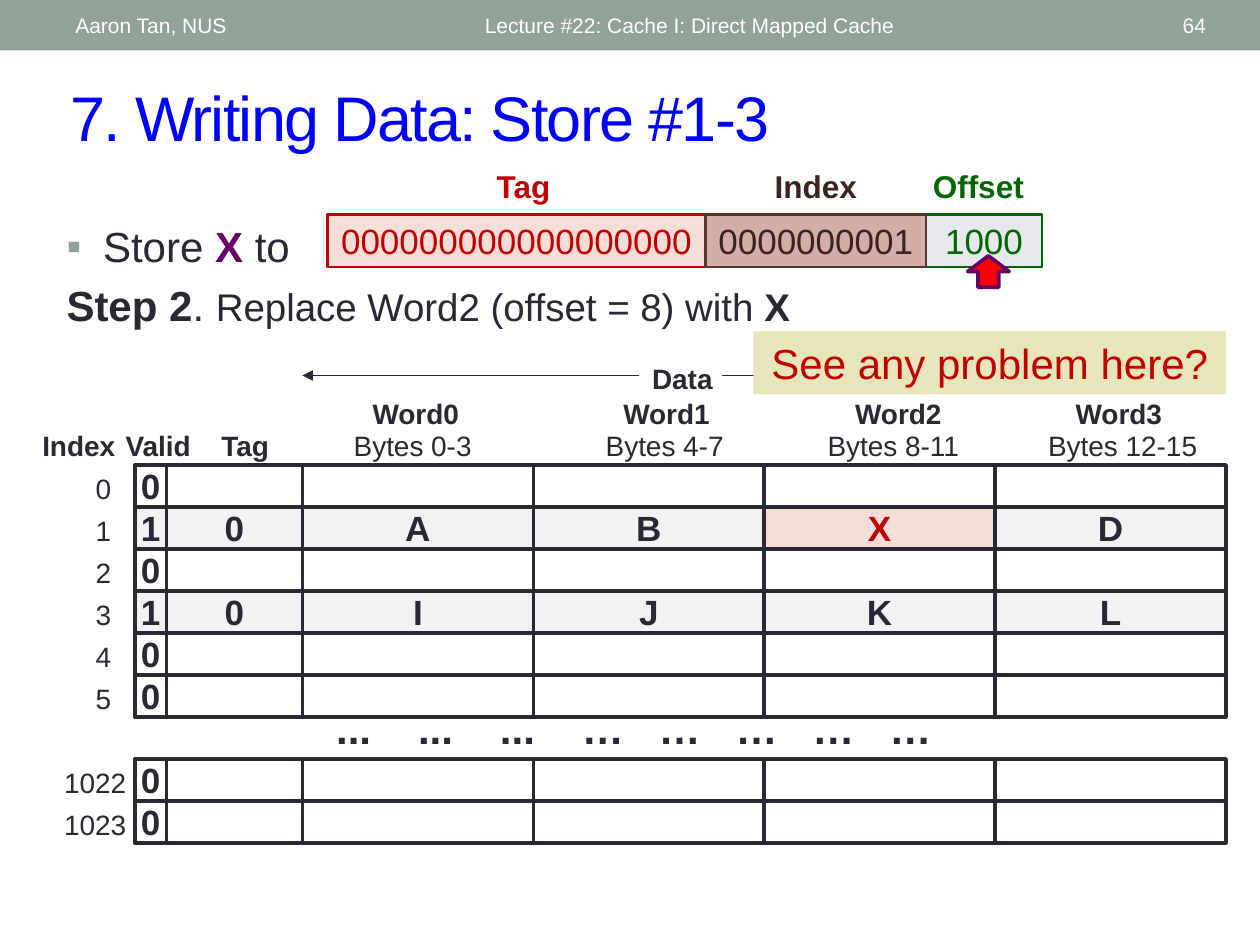
from lxml import etree
from pptx import Presentation
from pptx.dml.color import RGBColor
from pptx.enum.shapes import MSO_CONNECTOR, MSO_SHAPE
from pptx.enum.text import MSO_ANCHOR, PP_ALIGN
from pptx.oxml.ns import qn
from pptx.util import Inches, Pt

RECTANGLE, UP_ARROW = MSO_SHAPE.RECTANGLE, MSO_SHAPE.UP_ARROW
STRAIGHT = MSO_CONNECTOR.STRAIGHT
TOP, MIDDLE = MSO_ANCHOR.TOP, MSO_ANCHOR.MIDDLE
LEFT, CENTER, RIGHT = PP_ALIGN.LEFT, PP_ALIGN.CENTER, PP_ALIGN.RIGHT

INK = RGBColor(0x29, 0x29, 0x34)
WHITE = RGBColor(0xFF, 0xFF, 0xFF)
SAGE = RGBColor(0x93, 0xA2, 0x99)
BLUE = RGBColor(0x00, 0x00, 0xFF)
PURPLE = RGBColor(0x66, 0x00, 0x66)
CRIMSON = RGBColor(0xC0, 0x00, 0x00)
RED = RGBColor(0xFF, 0x00, 0x00)
PINK = RGBColor(0xF6, 0xDD, 0xD8)
GREEN = RGBColor(0x00, 0x66, 0x00)
PALE_BLUE = RGBColor(0xE6, 0xE8, 0xEC)
BROWN = RGBColor(0x5B, 0x35, 0x2E)
DARK_BROWN = RGBColor(0x3C, 0x23, 0x1F)
ROSE = RGBColor(0xD3, 0xAE, 0xA8)
LIGHT_GREY = RGBColor(0xF2, 0xF2, 0xF2)
KHAKI = RGBColor(0xE7, 0xE5, 0xBA)


def add_span(para, text, size=16, color=INK, bold=False, spacing=None):
    """Append formatted text to a paragraph."""
    span = para.add_run()
    span.text = text
    span.font.name, span.font.size = "Arial", Pt(size)
    span.font.bold = bold
    span.font.color.rgb = color
    if spacing is not None:
        span.font._element.set("spc", str(spacing))


def write(box, text, align=CENTER, anchor=TOP, wrap=False, **style):
    """Write one paragraph in a shape and return it."""
    frame = box.text_frame
    frame.word_wrap = wrap
    frame.vertical_anchor = anchor
    para = frame.paragraphs[0]
    para.alignment = align
    add_span(para, text, **style)
    return para


def add_label(page, box, text, **style):
    """Place a text box at left, top, width, height."""
    return write(page.shapes.add_textbox(*map(Inches, box)), text, **style)


def add_block(page, box, fill=None, line=None, weight=2, kind=RECTANGLE):
    """Place a flat shape with optional fill and outline."""
    block = page.shapes.add_shape(kind, *map(Inches, box))
    block.shadow.inherit = False
    if fill is None:
        block.fill.background()
    else:
        block.fill.solid()
        block.fill.fore_color.rgb = fill
    if line is None:
        block.line.fill.background()
    else:
        block.line.color.rgb = line
        block.line.width = Pt(weight)
    return block


def add_arrow(page, start, end, y):
    """Draw a thin horizontal arrow pointing at its end."""
    arrow = page.shapes.add_connector(STRAIGHT, Inches(start), Inches(y), Inches(end), Inches(y))
    arrow.line.color.rgb = INK
    arrow.line.width = Pt(0.75)
    etree.SubElement(arrow.line._get_or_add_ln(), qn("a:tailEnd"), type="triangle")
    etree.SubElement(arrow._element.spPr, qn("a:effectLst"))


def add_header(page, left, top, width, height):
    """Place the page band with author, lecture and number."""
    add_block(page, (left, top, width, height), fill=SAGE)
    parts = [(0.5, 3.17, "Aaron Tan, NUS", LEFT),
             (3.75, 4.5, "Lecture #22: Cache I: Direct Mapped Cache", LEFT),
             (8.72, 0.95, "64", RIGHT)]
    for offset, span, text, align in parts:
        add_label(page, (left + offset, top + 0.02, span, height - 0.04), text, align=align,
                  anchor=MIDDLE, wrap=True, size=12, color=WHITE)


def add_steps(page, left, top, width, height):
    """Place the store instruction and its second step."""
    box = page.shapes.add_textbox(*map(Inches, (left, top, width, height)))
    frame = box.text_frame
    frame.word_wrap = True
    store, step = frame.paragraphs[0], frame.add_paragraph()
    for para, indent in ((store, 0.29), (step, 0.2)):
        properties = para._p.get_or_add_pPr()
        properties.set("marL", str(Inches(indent)))
        properties.set("indent", str(-Inches(indent)))
    bullet_color = etree.SubElement(store._p.pPr, qn("a:buClr"))
    etree.SubElement(bullet_color, qn("a:srgbClr"), val=str(SAGE))
    etree.SubElement(store._p.pPr, qn("a:buFont"), typeface="Arial")
    etree.SubElement(store._p.pPr, qn("a:buChar"), char="▪")
    step.space_before = Pt(5)
    add_span(store, "Store ", size=24)
    add_span(store, "X", size=24, color=PURPLE, bold=True)
    add_span(store, " to", size=24)
    add_span(step, "Step 2", size=24, bold=True)
    add_span(step, ". ", size=24)
    add_span(step, "Replace Word2 (offset = 8) with ", size=22)
    add_span(step, "X", size=22, bold=True)


def add_address(page, left, top, height):
    """Place the tag, index and offset fields with their captions."""
    fields = [("Tag", "0" * 18, 3, PINK, CRIMSON, CRIMSON, 3.76, 0.79),
              ("Offset", "1000", 0.92, PALE_BLUE, GREEN, GREEN, 7.18, 1.17),
              ("Index", "0000000001", 1.75, ROSE, BROWN, DARK_BROWN, 5.93, 1.09)]
    starts = {"Tag": left, "Index": left + 3, "Offset": left + 4.75}
    for name, bits, width, fill, line, color, label_left, label_width in fields:
        block = add_block(page, (starts[name], top, width, height), fill, line, 1.5)
        write(block, bits, anchor=MIDDLE, wrap=True, size=20, color=color)
        add_label(page, (label_left, top - 0.42, label_width, 0.4), name, wrap=True,
                  size=18, color=color, bold=True)
    add_block(page, (left + 5.08, top + 0.33, 0.33, 0.25), RED, PURPLE, 2.08, UP_ARROW)


def add_cache_headings(page, top):
    """Place the column headings and the data span arrows."""
    for left, width, text in ((0.23, 0.79, "Index"), (0.89, 0.73, "Valid"), (1.65, 0.59, "Tag")):
        add_label(page, (left, top + 0.53, width, 0.37), text, bold=True)
    add_label(page, (5.07, top, 0.69, 0.37), "Data", bold=True)
    add_arrow(page, 5.07, 2.4, top + 0.16)
    add_arrow(page, 5.73, 9.65, top + 0.16)
    words = [(2.85, 2.7, 1.15, "0-3"), (4.84, 4.7, 1.15, "4-7"),
             (6.68, 6.46, 1.26, "8-11"), (8.43, 8.21, 1.4, "12-15")]
    for number, (word_left, bytes_left, width, extent) in enumerate(words):
        add_label(page, (word_left, top + 0.28, 0.9, 0.37), f"Word{number}", bold=True)
        add_label(page, (bytes_left, top + 0.53, width, 0.37), f"Bytes {extent}")


def add_cache_rows(page, left, top, width):
    """Place the cache lines, their indexes and the gap between them."""
    height = 1 / 3
    data_left = left + 1.33
    data_width = (width - 1.33) / 4
    columns = [(left, 0.25), (left + 0.25, 1.08)]
    columns += [(data_left + i * data_width, data_width) for i in range(4)]
    filled = {1: "10ABXD", 3: "10IJKL"}
    for position, index in enumerate([0, 1, 2, 3, 4, 5, None, 1022, 1023]):
        row_top = top + position * height
        if index is None:
            add_gap(page, data_left + 0.17, row_top - 0.16)
            continue
        label_left, label_width = (0.65, 0.34) if index < 10 else (0.4, 0.71)
        add_label(page, (label_left, row_top, label_width, 0.37), str(index))
        values = filled.get(index, ["0"] + [""] * 5)
        for (cell_left, cell_width), value in zip(columns, values):
            fill = LIGHT_GREY if index in filled else None
            changed = value == "X"
            cell = add_block(page, (cell_left, row_top, cell_width, height),
                             PINK if changed else fill, INK)
            if value:
                write(cell, value, anchor=MIDDLE, size=20, bold=True,
                      color=CRIMSON if changed else INK)


def add_gap(page, left, top):
    """Place the evenly tabbed dots for the omitted lines."""
    dots = "\t".join(["..."] * 3 + ["…"] * 5)
    para = add_label(page, (left, top, 5.5, 0.81), dots, align=LEFT, wrap=True, size=24, bold=True)
    stops = etree.SubElement(para._p.get_or_add_pPr(), qn("a:tabLst"))
    for stop in [0.65, 1.3] + [1.95 + 0.61 * i for i in range(5)]:
        etree.SubElement(stops, qn("a:tab"), pos=str(Inches(stop)), algn="l")


def main():
    """Build the slide and save it."""
    deck = Presentation()
    deck.slide_width, deck.slide_height = Inches(10), Inches(7.5)
    page = deck.slides.add_slide(deck.slide_layouts[6])
    add_header(page, 0, 0, 10, 0.4)
    add_label(page, (0.46, 0.57, 9.21, 0.7), "7. Writing Data: Store #1-3", align=LEFT,
              anchor=MIDDLE, wrap=True, size=36, color=BLUE, spacing=-100)
    add_steps(page, 0.43, 1.7, 9.33, 1.04)
    add_cache_rows(page, 1.07, 3.69, 8.66)
    add_cache_headings(page, 2.82)
    add_address(page, 2.6, 1.7, 0.42)
    question = add_block(page, (5.98, 2.63, 3.75, 0.5), KHAKI)
    write(question, "See any problem here?", anchor=MIDDLE, wrap=True, size=24, color=CRIMSON)
    deck.save("out.pptx")


if __name__ == "__main__":
    main()
